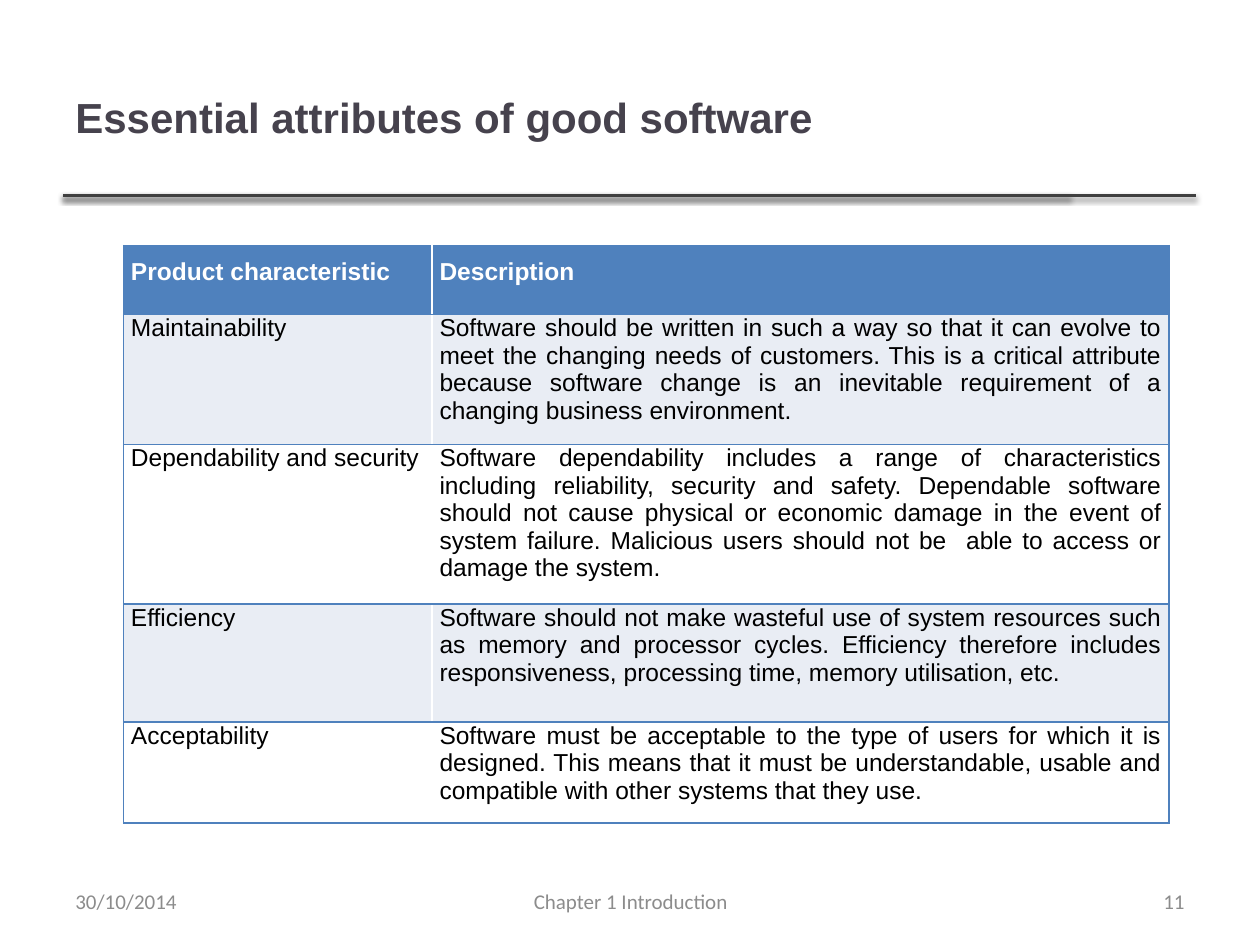
from lxml import etree
from pptx import Presentation
from pptx import util as u
from pptx.dml.color import RGBColor
from pptx.enum import shapes, text
from pptx.oxml import parse_xml
from pptx.oxml.ns import nsdecls, qn

Cm = u.Cm
BLUE, DARK, GREY = "4F81BD", "404040", "8C8C8C"
LEFT, MID, RIGHT, JUST = (text.PP_ALIGN.LEFT, text.PP_ALIGN.CENTER,
                          text.PP_ALIGN.RIGHT, text.PP_ALIGN.JUSTIFY)
ROWS = [
    ("Product characteristic", "Description"),
    ("Maintainability",
     "Software should be written in such a way so that it can evolve to meet "
     "the changing needs of customers. This is a critical attribute because "
     "software change is an inevitable requirement of a changing business "
     "environment."),
    ("Dependability and security",
     "Software dependability includes a range of characteristics including "
     "reliability, security and safety. Dependable software should not cause "
     "physical or economic damage in the event of system failure. Malicious "
     "users should not be  able to access or damage the system."),
    ("Efficiency",
     "Software should not make wasteful use of system resources such as "
     "memory and processor cycles. Efficiency therefore includes "
     "responsiveness, processing time, memory utilisation, etc."),
    ("Acceptability",
     "Software must be acceptable to the type of users for which it is "
     "designed. This means that it must be understandable, usable and "
     "compatible with other systems that they use."),
]
WIDTHS = [6.22, 14.86]
HEIGHTS = [1.39, 2.46, 3.04, 2.38, 1.92]


def color(code):
    return RGBColor.from_string(code)


def put(obj, **vals):
    for key, val in vals.items():
        setattr(obj, key, val)


def write(frame, words, hue, align=LEFT, **font):
    par = frame.paragraphs[0]
    par.alignment = align
    run = par.add_run()
    run.text = words
    put(run.font, **font)
    run.font.color.rgb = color(hue)


def label(slide, box, words, hue, align=LEFT, **font):
    frame = slide.shapes.add_textbox(*map(Cm, box)).text_frame
    put(frame, word_wrap=True, vertical_anchor=text.MSO_ANCHOR.MIDDLE,
        margin_left=Cm(0.25), margin_right=Cm(0.25))
    write(frame, words, hue, align, **font)


def rule(slide, left, right, top):
    line = slide.shapes.add_connector(
        shapes.MSO_CONNECTOR.STRAIGHT, Cm(left), Cm(top), Cm(right), Cm(top))
    line.line.width = u.Pt(2)
    line.line.color.rgb = color(DARK)
    line._element.spPr.append(parse_xml(
        f'<a:effectLst {nsdecls("a")}>'
        '<a:outerShdw blurRad="39370" dist="20320" dir="5400000" rotWithShape="0">'
        '<a:srgbClr val="000000"><a:alpha val="38000"/></a:srgbClr>'
        '</a:outerShdw></a:effectLst>'))


def border(cell, sides):
    props = cell._tc.get_or_add_tcPr()
    for spot, side in enumerate(sides):
        edge = etree.Element(qn(f"a:ln{side}"), w=str(u.Pt(1)))
        fill = etree.SubElement(edge, qn("a:solidFill"))
        etree.SubElement(fill, qn("a:srgbClr"), val=BLUE)
        props.insert(spot, edge)


def grid(slide, left, top):
    table = slide.shapes.add_table(
        len(ROWS), len(WIDTHS), Cm(left), Cm(top),
        Cm(sum(WIDTHS)), Cm(sum(HEIGHTS))).table
    for col, wide in zip(table.columns, WIDTHS):
        col.width = Cm(wide)
    for i, (row, high) in enumerate(zip(table.rows, HEIGHTS)):
        row.height = Cm(high)
        head = i == 0
        back = BLUE if head else ("FFFFFF", "E9EDF4")[i % 2]
        for cell, words, sides in zip(row.cells, ROWS[i], ("LTB", "RTB")):
            put(cell, margin_left=Cm(0.15), margin_right=Cm(0.15),
                margin_top=Cm(0.25 if head else 0), margin_bottom=Cm(0.25))
            cell.fill.solid()
            cell.fill.fore_color.rgb = color(back)
            border(cell, sides)
            align = LEFT if words.startswith("Dependability") else JUST
            write(cell.text_frame, words, "FFFFFF" if head else "000000",
                  align, name="Arial", size=u.Pt(14), bold=head)


def main():
    deck = Presentation()
    put(deck, slide_width=Cm(25.4), slide_height=Cm(19.05))
    slide = deck.slides.add_slide(deck.slide_layouts[6])
    for end in (21.56, 24.1):
        rule(slide, 1.27, end, 3.94)
    label(slide, (1.27, 0.76, 20.27, 3.18),
          "Essential attributes of good software", "46424D",
          name="Arial", size=u.Pt(24), bold=True)
    grid(slide, 2.49, 4.95)
    for left, wide, words, align in (
            (8.69, 8.05, "Chapter 1 Introduction", MID),
            (1.27, 5.92, "30/10/2014", LEFT),
            (18.21, 5.92, "11", RIGHT)):
        label(slide, (left, 17.65, wide, 1.02), words, GREY, align,
              name="Calibri", size=u.Pt(12))
    deck.save("out.pptx")


if __name__ == "__main__":
    main()
